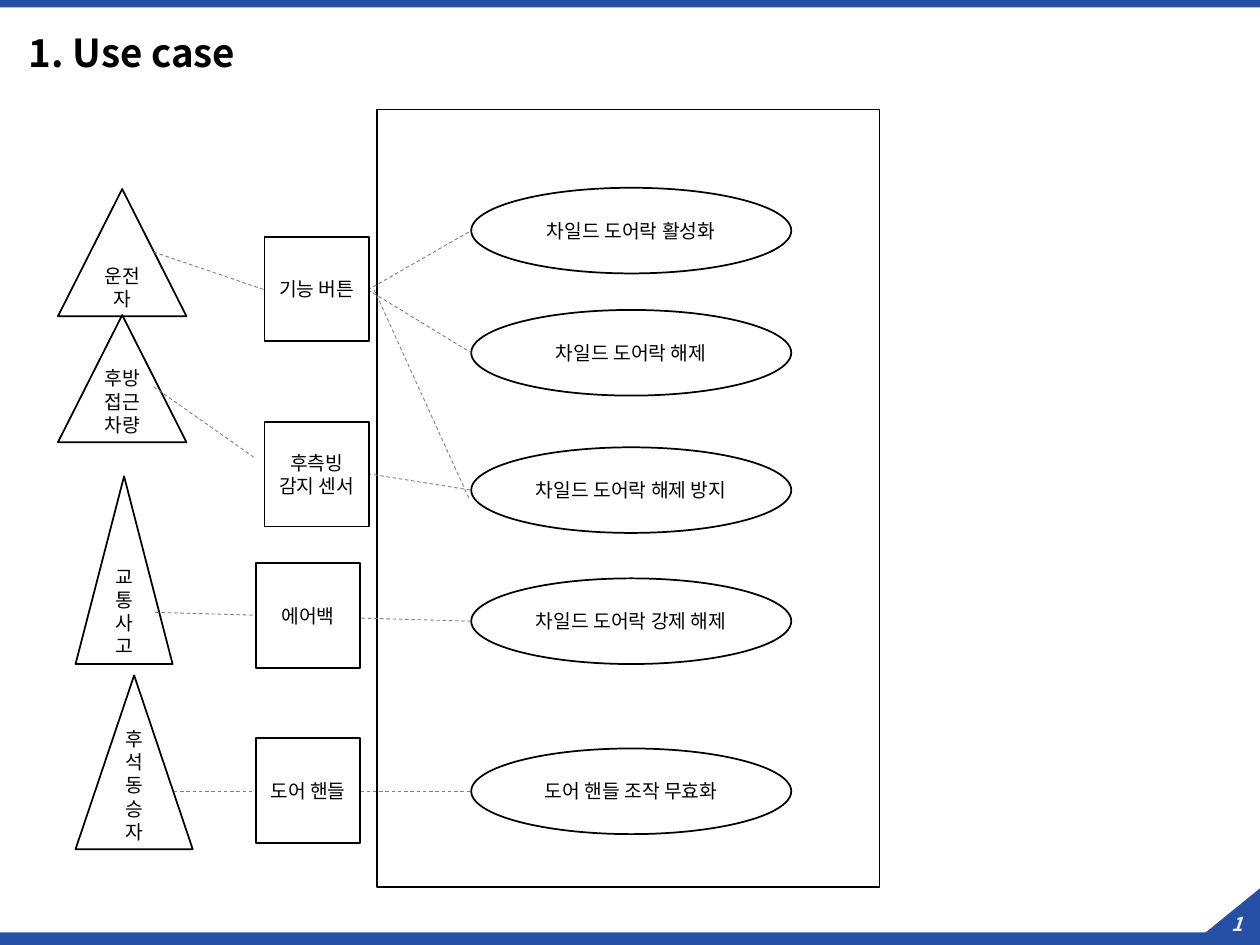
"""Build the use case slide for a child door lock."""
from dataclasses import dataclass

from lxml.etree import SubElement
from pptx import Presentation
from pptx.dml.color import RGBColor
from pptx.enum.dml import MSO_LINE
from pptx.enum.shapes import MSO_CONNECTOR, MSO_SHAPE
from pptx.enum.text import MSO_ANCHOR, PP_ALIGN
from pptx.oxml.ns import qn
from pptx.util import Emu, Pt

PX_PER_INCH = 100
FONT = "Noto Sans CJK KR"
BLUE, BLACK, WHITE, GRAY, PALE = "2550A6", "000000", "FFFFFF", "808080", "F2F2F2"


@dataclass(frozen=True)
class Node:
    text: str
    left: int
    top: int
    width: int
    height: int


@dataclass(frozen=True)
class Link:
    x1: int
    y1: int
    x2: int
    y2: int


ACTORS = [
    Node("운전자", 46, 150, 102, 101),
    Node("후방 접근 차량", 46, 250, 102, 101),
    Node("교통사고", 60, 378, 77, 149),
    Node("후석 동승자", 60, 536, 93, 138),
]
DEVICES = [
    Node(text, left, top, 83, 83)
    for text, left, top in [
        ("기능 버튼", 210, 188),
        ("후측빙 감지 센서", 210, 335),
        ("에어백", 203, 447),
        ("도어 핸들", 203, 586),
    ]
]
USE_CASES = [
    Node(text, 374, top, 254, 68)
    for text, top in [
        ("차일드 도어락 활성화", 149),
        ("차일드 도어락 해제", 246),
        ("차일드 도어락 해제 방지", 355),
        ("차일드 도어락 강제 해제", 459),
        ("도어 핸들 조작 무효화", 594),
    ]
]
LINKS = [
    Link(122, 200, 210, 230),
    Link(122, 307, 203, 364),
    Link(374, 493, 122, 486),
    Link(138, 628, 203, 628),
    Link(292, 230, 374, 183),
    Link(292, 230, 374, 280),
    Link(297, 230, 372, 395),
    Link(292, 376, 374, 389),
    Link(286, 628, 374, 628),
]


def px(length: int) -> Emu:
    """Turn px into EMU."""
    return Emu(length * 914400 // PX_PER_INCH)


def color(value: str) -> RGBColor:
    """Turn a hex string into a colour."""
    return RGBColor.from_string(value)


def style_text(para, size: int, value: str = BLACK, bold: bool = False) -> None:
    """Set the font of a paragraph for Latin and Korean text."""
    para.font.size = Pt(size)
    para.font.bold = bold
    para.font.color.rgb = color(value)
    para.font.name = FONT
    properties = para._p.get_or_add_pPr().find(qn("a:defRPr"))
    SubElement(properties, qn("a:ea"), typeface=FONT)


def paint(shape, fill: str, line: str | None = None) -> None:
    """Set the fill and outline of a shape."""
    shape.shadow.inherit = False
    shape.fill.solid()
    shape.fill.fore_color.rgb = color(fill)
    if line:
        shape.line.color.rgb = color(line)
        shape.line.width = Pt(1)
    else:
        shape.line.fill.background()


def draw_node(page, kind: MSO_SHAPE, node: Node, anchor: MSO_ANCHOR = MSO_ANCHOR.MIDDLE) -> None:
    """Draw an outlined shape with its label."""
    shape = page.shapes.add_shape(kind, px(node.left), px(node.top), px(node.width), px(node.height))
    paint(shape, WHITE, BLACK)
    if node.text:
        frame = shape.text_frame
        frame.word_wrap = True
        frame.vertical_anchor = anchor
        para = frame.paragraphs[0]
        para.text = node.text
        para.alignment = PP_ALIGN.CENTER
        style_text(para, 11)


def draw_link(page, link: Link) -> None:
    """Draw a thin dashed line."""
    line = page.shapes.add_connector(
        MSO_CONNECTOR.STRAIGHT, px(link.x1), px(link.y1), px(link.x2), px(link.y2)
    )
    line.line.color.rgb = color(GRAY)
    line.line.width = Pt(0.5)
    line.line.dash_style = MSO_LINE.DASH
    SubElement(line._element.spPr, qn("a:effectLst"))


def draw_title(page, text: str) -> None:
    """Place and format the title placeholder."""
    title = page.shapes.title
    title.left, title.top, title.width, title.height = px(13), px(21), px(947), px(46)
    title.text_frame.vertical_anchor = MSO_ANCHOR.MIDDLE
    para = title.text_frame.paragraphs[0]
    para.text = text
    para.alignment = PP_ALIGN.LEFT
    para.line_spacing = 0.9
    style_text(para, 22, bold=True)


def draw_borders(page) -> None:
    """Draw the top band, the bottom band with its corner and the page number."""
    paint(page.shapes.add_shape(MSO_SHAPE.RECTANGLE, 0, 0, px(1000), px(6)), BLUE)
    builder = page.shapes.build_freeform(0, 740, scale=px(1))
    builder.add_line_segments([(957, 740), (1000, 705), (1000, 750), (0, 750)], close=True)
    paint(builder.convert_to_shape(), BLUE)
    box = page.shapes.add_textbox(px(961), px(719), px(42), px(29))
    frame = box.text_frame
    frame.word_wrap = True
    frame.vertical_anchor = MSO_ANCHOR.MIDDLE
    frame.margin_left = frame.margin_top = frame.margin_right = frame.margin_bottom = 0
    para = frame.paragraphs[0]
    para.text = "1"
    para.alignment = PP_ALIGN.CENTER
    style_text(para, 11, PALE, bold=True)
    para.font.italic = True


def main() -> None:
    """Build and save the deck."""
    deck = Presentation()
    deck.slide_width, deck.slide_height = px(1000), px(750)
    page = deck.slides.add_slide(deck.slide_layouts[5])
    draw_borders(page)
    draw_title(page, "1. Use case")
    draw_node(page, MSO_SHAPE.RECTANGLE, Node("", 299, 87, 399, 617))
    for actor in ACTORS:
        draw_node(page, MSO_SHAPE.ISOSCELES_TRIANGLE, actor, MSO_ANCHOR.BOTTOM)
    for use_case in USE_CASES:
        draw_node(page, MSO_SHAPE.OVAL, use_case)
    for link in LINKS:
        draw_link(page, link)
    for device in DEVICES:
        draw_node(page, MSO_SHAPE.RECTANGLE, device)
    deck.save("out.pptx")


if __name__ == "__main__":
    main()
